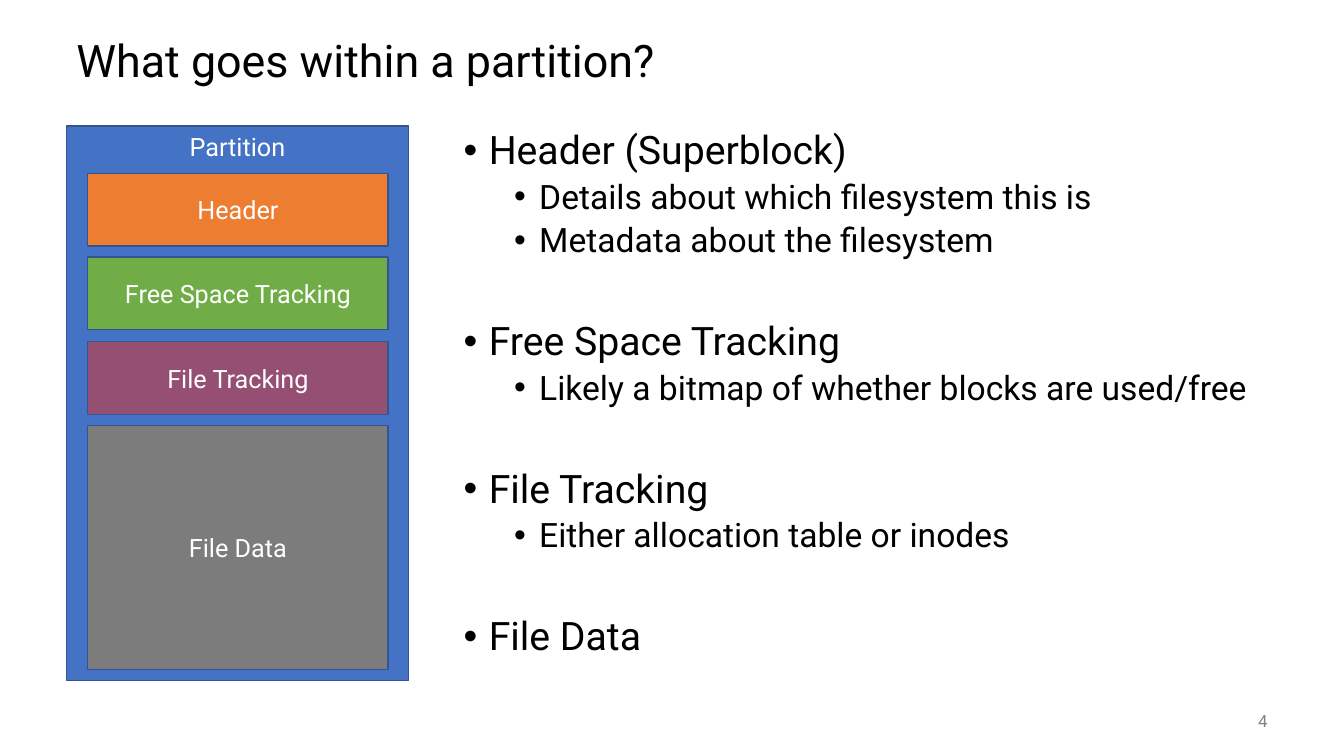
import pptx
import pptx.dml.color
import pptx.enum.shapes
import pptx.enum.text
import pptx.util
from dataclasses import dataclass
from lxml import etree

PX = 9144  # EMU per px, 100 px to the inch
ALIGN = pptx.enum.text.PP_ALIGN
ANCHOR = pptx.enum.text.MSO_ANCHOR


@dataclass(frozen=True)
class Theme:
    font: str = "Roboto"
    text: str = "000000"
    muted: str = "808080"
    on_fill: str = "FFFFFF"
    outline: str = "325491"
    partition: str = "4472C4"
    header: str = "ED7D31"
    free_space: str = "70AD47"
    file_tracking: str = "954F72"
    file_data: str = "7C7C7C"
    title_size: int = 32
    topic_size: int = 28
    detail_size: int = 24
    label_size: int = 18
    number_size: int = 12


def px(value):
    return pptx.util.Emu(value * PX)


def rgb(value):
    return pptx.dml.color.RGBColor.from_string(value)


class SlideBuilder:
    def __init__(self, slide, theme):
        self.slide = slide
        self.theme = theme

    def run(self, paragraph, text, size, color):
        run = paragraph.add_run()
        run.text = text
        run.font.name = self.theme.font
        run.font.size = pptx.util.Pt(size)
        run.font.color.rgb = rgb(color)

    def frame(self, box, anchor=ANCHOR.MIDDLE):
        frame = self.slide.shapes.add_textbox(*map(px, box)).text_frame
        frame.word_wrap = True
        frame.vertical_anchor = anchor
        return frame

    def line(self, box, text, size, color, align=ALIGN.LEFT, spacing=1.0):
        paragraph = self.frame(box).paragraphs[0]
        paragraph.alignment = align
        paragraph.line_spacing = spacing
        self.run(paragraph, text, size, color)

    def block(self, box, label, fill, anchor=ANCHOR.MIDDLE):
        block = self.slide.shapes.add_shape(
            pptx.enum.shapes.MSO_SHAPE.RECTANGLE, *map(px, box))
        block.shadow.inherit = False
        block.fill.solid()
        block.fill.fore_color.rgb = rgb(fill)
        block.line.color.rgb = rgb(self.theme.outline)
        block.line.width = pptx.util.Pt(1)
        block.text_frame.word_wrap = True
        block.text_frame.vertical_anchor = anchor
        paragraph = block.text_frame.paragraphs[0]
        paragraph.alignment = ALIGN.CENTER
        self.run(paragraph, label, self.theme.label_size, self.theme.on_fill)

    def bullet(self, paragraph, text, level, space_before):
        properties = paragraph._p.get_or_add_pPr()
        properties.set("marL", str(px((25, 75)[level])))
        properties.set("indent", str(px(-25)))
        for tag, name, value in (("buFont", "typeface", "Arial"),
                                 ("buChar", "char", "•")):
            mark = etree.SubElement(properties, pptx.oxml.ns.qn("a:" + tag))
            mark.set(name, value)
        paragraph.level = level
        paragraph.line_spacing = 0.9
        paragraph.space_before = pptx.util.Pt(space_before)
        size = (self.theme.topic_size, self.theme.detail_size)[level]
        self.run(paragraph, text, size, self.theme.text)

    def outline(self, box, topics, topic_gap, detail_gap):
        frame = self.frame(box, ANCHOR.TOP)
        for index, (topic, details) in enumerate(topics):
            paragraph = frame.add_paragraph() if index else frame.paragraphs[0]
            self.bullet(paragraph, topic, 0, topic_gap if index else 0)
            for detail in details:
                self.bullet(frame.add_paragraph(), detail, 1, detail_gap)


def main():
    theme = Theme()
    deck = pptx.Presentation()
    deck.slide_width, deck.slide_height = px(1333), px(750)
    builder = SlideBuilder(deck.slides.add_slide(deck.slide_layouts[6]), theme)

    # Title
    builder.line((66, 25, 1200, 75), "What goes within a partition?",
                 theme.title_size, theme.text, spacing=0.9)

    # Explanation of each region
    topics = [
        ("Header (Superblock)", ["Details about which filesystem this is",
                                 "Metadata about the filesystem"]),
        ("Free Space Tracking",
         ["Likely a bitmap of whether blocks are used/free"]),
        ("File Tracking", ["Either allocation table or inodes"]),
        ("File Data", []),
    ]
    builder.outline((450, 125, 816, 550), topics, topic_gap=44.3, detail_gap=5)

    # Slide number
    builder.line((1167, 695, 100, 40), "4", theme.number_size, theme.muted,
                 ALIGN.RIGHT)

    # Partition diagram
    builder.block((66, 125, 339, 550), "Partition", theme.partition, ANCHOR.TOP)
    regions = [
        ("Header", theme.header, 72),
        ("Free Space Tracking", theme.free_space, 72),
        ("File Tracking", theme.file_tracking, 72),
        ("File Data", theme.file_data, 242),
    ]
    for index, (label, fill, height) in enumerate(regions):
        top = 172 + index * 167 // 2
        builder.block((87, top, 298, height), label, fill)

    deck.save("out.pptx")


if __name__ == "__main__":
    main()
